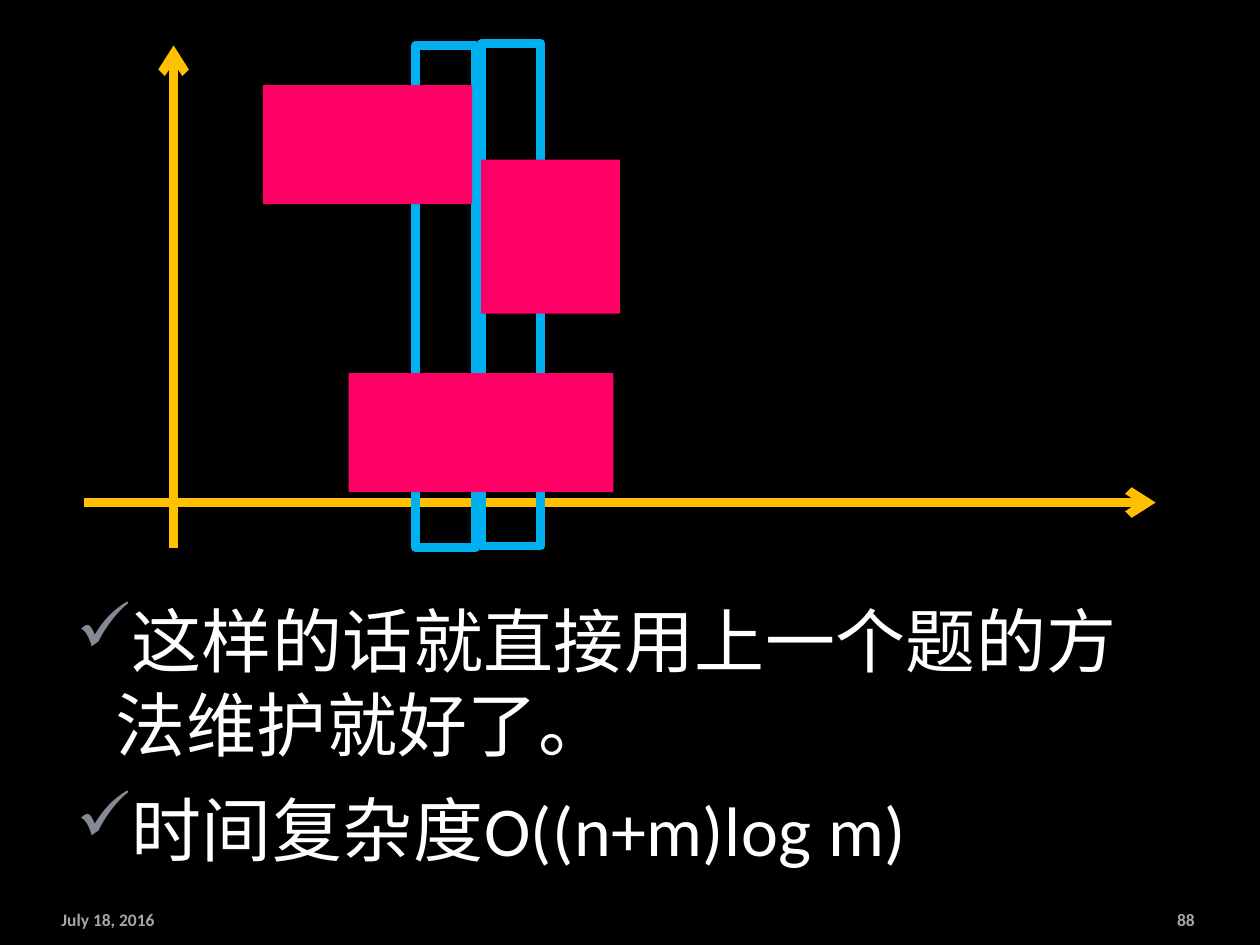
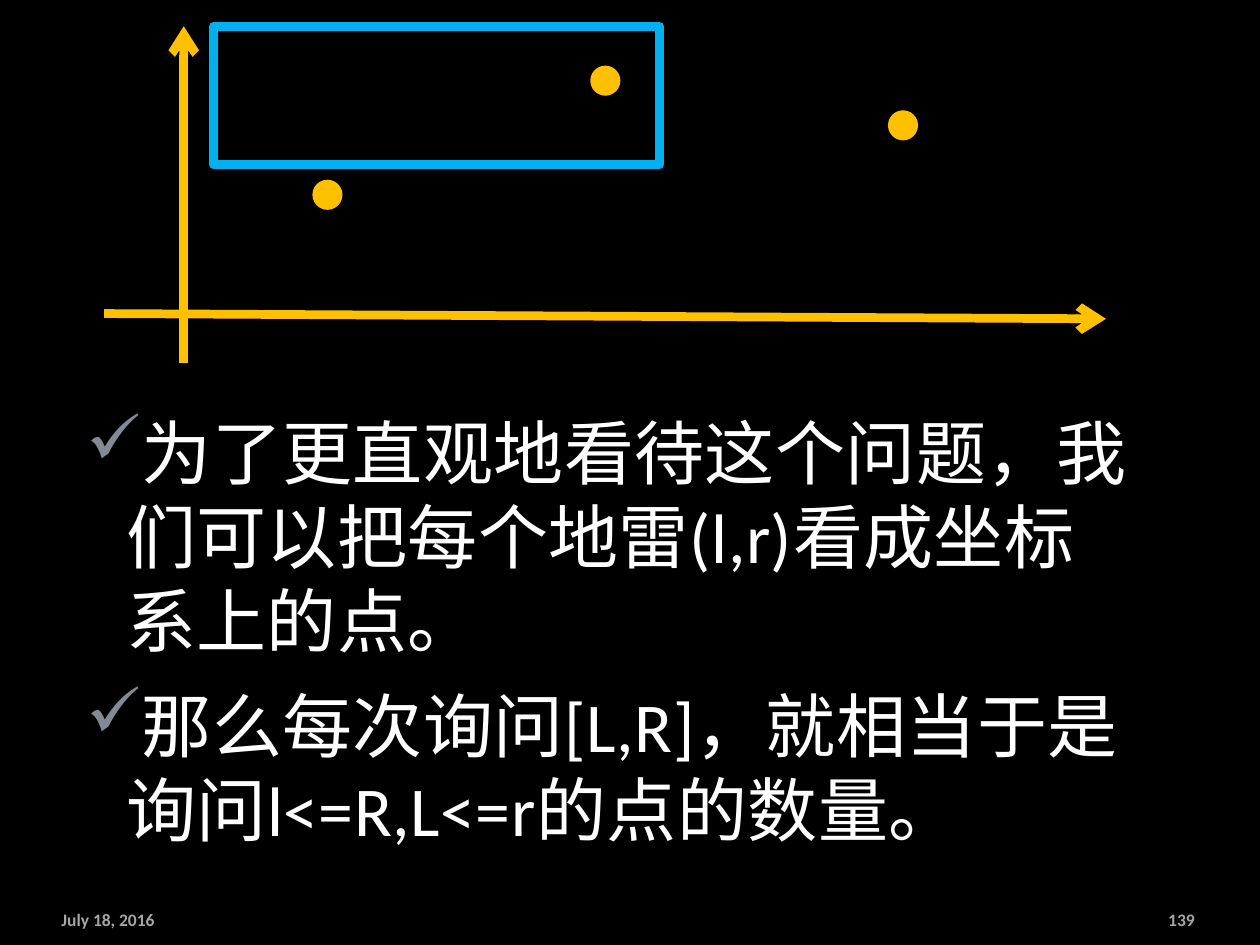
from lxml import etree
from pptx import Presentation
from pptx.dml.color import RGBColor
from pptx.enum.shapes import MSO_CONNECTOR, MSO_SHAPE
from pptx.enum.text import MSO_ANCHOR, PP_ALIGN
from pptx.oxml.ns import qn
from pptx.util import Pt

STRAIGHT = MSO_CONNECTOR.STRAIGHT
RECT, OVAL = MSO_SHAPE.RECTANGLE, MSO_SHAPE.OVAL
TOP, MIDDLE = MSO_ANCHOR.TOP, MSO_ANCHOR.MIDDLE
LEFT, RIGHT = PP_ALIGN.LEFT, PP_ALIGN.RIGHT

COLORS = {
    "background": "000000",
    "body": "FFFFFF",
    "footer": "A6A6A6",
    "bullet": "838995",
    "axis": "FFC000",
    "window": "00B0F0",
    "block": "FF0066",
}
FONT = "Calibri"
STROKE = 5
INDENT = 22.5
DOT = 17.2
FOOTER_TOP, FOOTER_HEIGHT = 515.5, 19.5


def rgb(name):
    return RGBColor.from_string(COLORS[name])


def add_text(s, box, texts, size, color, bold=False, align=LEFT, anchor=TOP, bullet=None):
    tf = s.shapes.add_textbox(*map(Pt, box)).text_frame
    tf.word_wrap = True
    tf.vertical_anchor = anchor
    for i, text in enumerate(texts):
        p = tf.paragraphs[0] if i == 0 else tf.add_paragraph()
        p.alignment = align
        r = p.add_run()
        r.text = text
        r.font.name = FONT
        r.font.size = Pt(size)
        r.font.bold = bold
        r.font.color.rgb = rgb(color)
        if bullet:
            pPr = p._p.get_or_add_pPr()
            pPr.set("marL", str(Pt(INDENT)))
            pPr.set("indent", str(-Pt(INDENT)))
            buClr = etree.SubElement(pPr, qn("a:buClr"))
            etree.SubElement(buClr, qn("a:srgbClr"), val=COLORS["bullet"])
            etree.SubElement(pPr, qn("a:buChar"), char=bullet)
            r._r.get_or_add_rPr().set("spc", "30")
            if i:
                p.space_before = Pt(12)


slides = [
    {
        "number": "88",
        "body_box": (36.7, 337.7, 640.8, 170),
        "body": ["这样的话就直接用上一个题的方法维护就好了。", "时间复杂度O((n+m)log m)"],
        "axes": [(99.2, 313.2, 99.2, 26), (48, 287.2, 660.4, 287.2)],
        "windows": [(237.6, 25.8, 34, 287.3), (275, 24.7, 34, 287.3)],
        "blocks": [(150.3, 48.7, 119.5, 68), (275, 91.3, 79.3, 88), (199.3, 213.2, 151.3, 68)],
        "dots": [],
    },
    {
        "number": "139",
        "body_box": (42.5, 230.4, 617.8, 283.7),
        "body": [
            "为了更直观地看待这个问题，我们可以把每个地雷(l,r)看成坐标系上的点。",
            "那么每次询问[L,R]，就相当于是询问l<=R,L<=r的点的数量。",
        ],
        "axes": [(105, 207.4, 105, 15), (59.5, 179.2, 632, 182.2)],
        "windows": [(122, 15, 254.7, 79)],
        "blocks": [],
        "dots": [(178.5, 102.7), (337.3, 37.5), (507.4, 63)],
    },
]

prs = Presentation()
prs.slide_width, prs.slide_height = Pt(720), Pt(540)

for content in slides:
    s = prs.slides.add_slide(prs.slide_layouts[6])
    s.background.fill.solid()
    s.background.fill.fore_color.rgb = rgb("background")

    add_text(s, content["body_box"], content["body"], 40, "body", bullet="✓")
    for left, width, text, align in [
        (28, 115, "July 18, 2016", LEFT),
        (620.8, 69, content["number"], RIGHT),
    ]:
        box = (left, FOOTER_TOP, width, FOOTER_HEIGHT)
        add_text(s, box, [text], 10, "footer", True, align, MIDDLE)

    for ends in content["axes"]:
        axis = s.shapes.add_connector(STRAIGHT, *map(Pt, ends))
        axis.line.color.rgb = rgb("axis")
        axis.line.width = Pt(STROKE)
        etree.SubElement(axis.line._get_or_add_ln(), qn("a:tailEnd"), type="arrow")
        etree.SubElement(axis._element.spPr, qn("a:effectLst"))

    for box in content["windows"]:
        sp = s.shapes.add_shape(RECT, *map(Pt, box))
        sp.shadow.inherit = False
        sp.fill.background()
        sp.line.color.rgb = rgb("window")
        sp.line.width = Pt(STROKE)

    solids = [(RECT, box, "block") for box in content["blocks"]]
    solids += [(OVAL, (x, y, DOT, DOT), "axis") for x, y in content["dots"]]
    for kind, box, color in solids:
        sp = s.shapes.add_shape(kind, *map(Pt, box))
        sp.shadow.inherit = False
        sp.fill.solid()
        sp.fill.fore_color.rgb = rgb(color)
        sp.line.fill.background()

prs.save("out.pptx")
